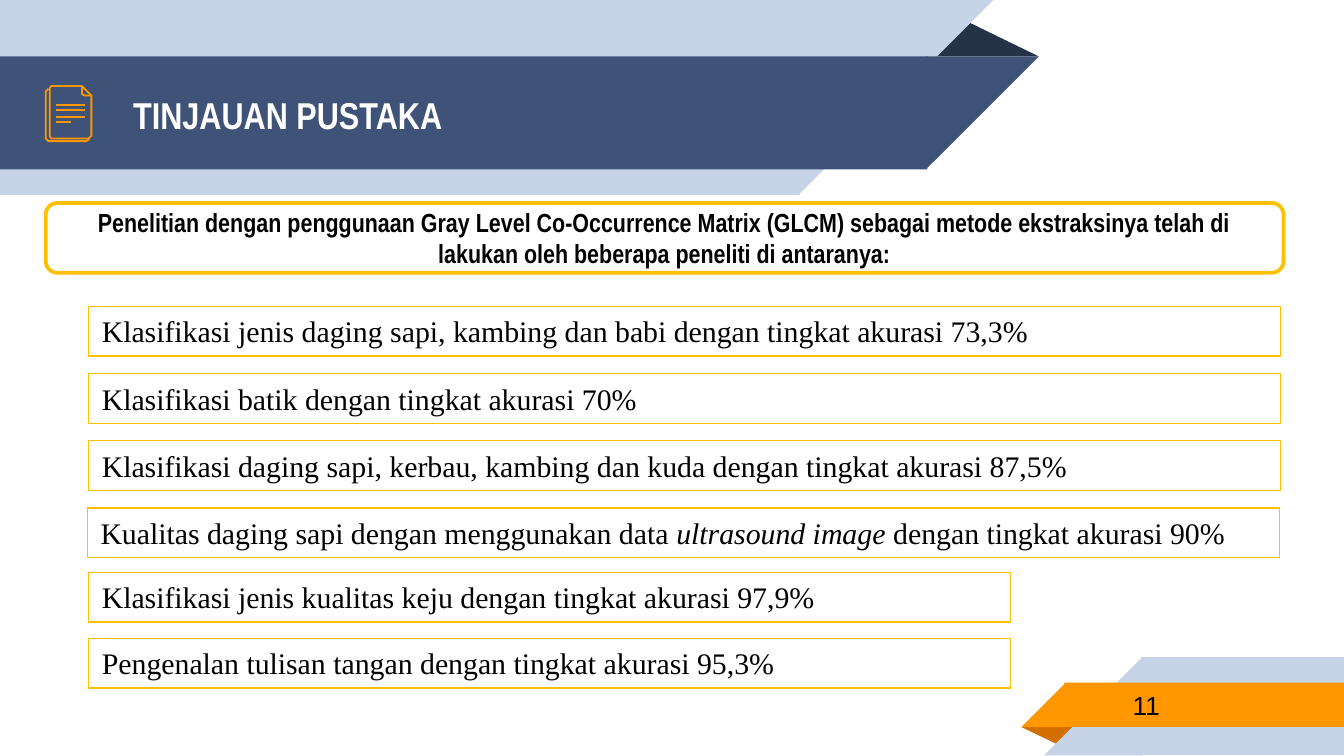
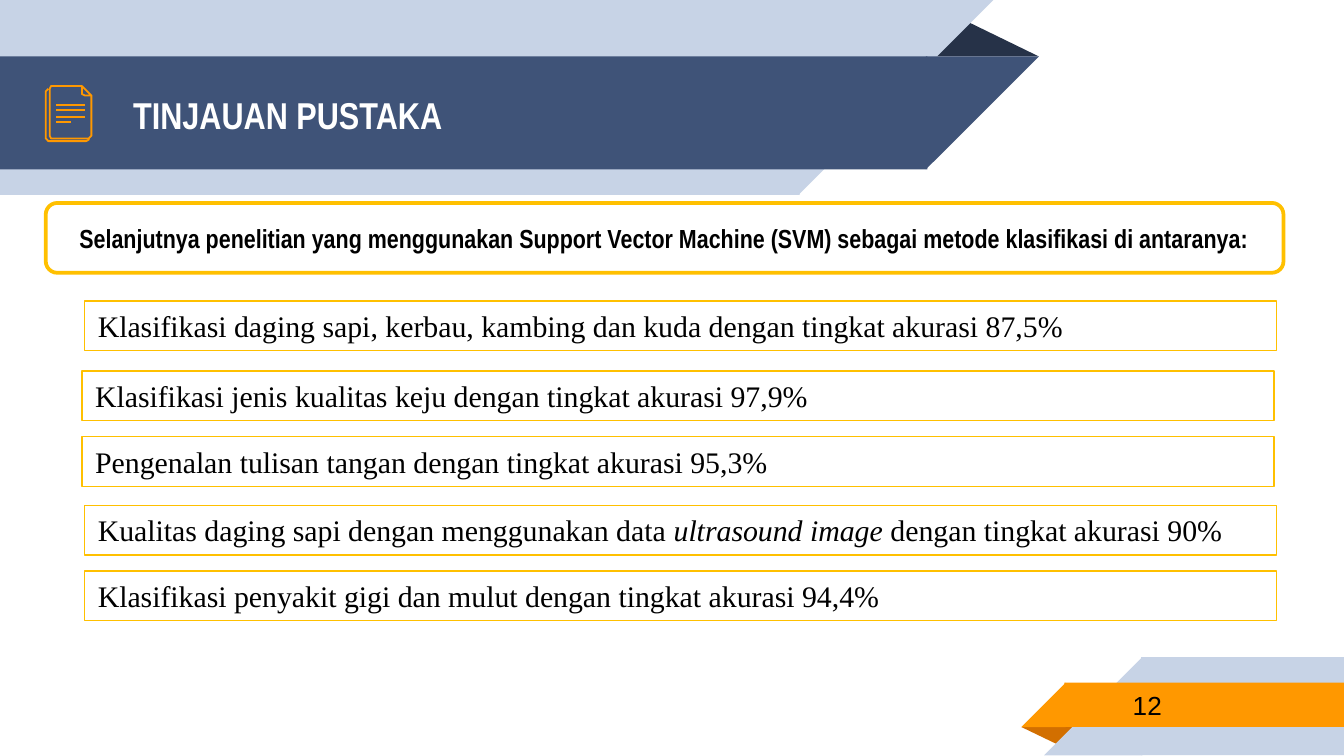
"""Build two literature review slides with a shared ribbon design."""
from lxml import etree
from pptx import Presentation
from pptx.dml.color import RGBColor
from pptx.enum.shapes import MSO_CONNECTOR, MSO_SHAPE
from pptx.enum.text import MSO_ANCHOR, MSO_AUTO_SIZE, PP_ALIGN
from pptx.oxml.ns import qn
from pptx.util import Inches, Pt

RECT = MSO_SHAPE.RECTANGLE
ROUND = MSO_SHAPE.ROUNDED_RECTANGLE
WEDGE = MSO_SHAPE.RIGHT_TRIANGLE
FOLD = MSO_SHAPE.ISOSCELES_TRIANGLE
LINE = MSO_CONNECTOR.STRAIGHT
TOP, MIDDLE = MSO_ANCHOR.TOP, MSO_ANCHOR.MIDDLE
LEFT, CENTER = PP_ALIGN.LEFT, PP_ALIGN.CENTER
FIXED = MSO_AUTO_SIZE.NONE

PALE = RGBColor(0xC7, 0xD3, 0xE6)
NAVY = RGBColor(0x3F, 0x53, 0x78)
DARK = RGBColor(0x26, 0x32, 0x48)
ORANGE = RGBColor(0xFF, 0x98, 0x00)
RUST = RGBColor(0xD2, 0x6F, 0x00)
GOLD = RGBColor(0xFF, 0xC0, 0x00)
BLACK = RGBColor(0, 0, 0)
WHITE = RGBColor(0xFF, 0xFF, 0xFF)

TITLE = "TINJAUAN PUSTAKA"
BEEF = "Klasifikasi daging sapi, kerbau, kambing dan kuda dengan tingkat akurasi 87,5%"
SCAN = ("Kualitas daging sapi dengan menggunakan data *ultrasound image*"
        " dengan tingkat akurasi 90%")
CHEESE = "Klasifikasi jenis kualitas keju dengan tingkat akurasi 97,9%"
HAND = "Pengenalan tulisan tangan dengan tingkat akurasi 95,3%"
WIDE, SHORT = 8.87, 6.86

PAGES = [
    (11, "Penelitian dengan penggunaan Gray Level Co-Occurrence Matrix (GLCM) sebagai "
         "metode ekstraksinya telah di lakukan oleh beberapa peneliti di antaranya:", [
        (0.66, 2.28, WIDE, "Klasifikasi jenis daging sapi, kambing dan babi "
                           "dengan tingkat akurasi 73,3%"),
        (0.66, 2.78, WIDE, "Klasifikasi batik dengan tingkat akurasi 70%"),
        (0.66, 3.28, WIDE, BEEF),
        (0.65, 3.78, WIDE, SCAN),
        (0.66, 4.26, SHORT, CHEESE),
        (0.66, 4.75, SHORT, HAND)]),
    (12, "Selanjutnya penelitian yang menggunakan Support Vector Machine (SVM) sebagai "
         "metode klasifikasi di antaranya:", [
        (0.63, 2.24, WIDE, BEEF),
        (0.61, 2.76, WIDE, CHEESE),
        (0.61, 3.25, WIDE, HAND),
        (0.63, 3.76, WIDE, SCAN),
        (0.63, 4.25, WIDE, "Klasifikasi penyakit gigi dan mulut dengan tingkat akurasi 94,4%")]),
]

BACK = [(0.36, 0.66), (0.34, 0.68), (0.34, 1.03), (0.36, 1.05),
        (0.64, 1.05), (0.66, 1.04), (0.66, 1.03)]
FRONT = [(0.61, 0.64), (0.38, 0.64), (0.37, 0.66), (0.37, 1.01), (0.38, 1.03),
         (0.66, 1.03), (0.68, 1.01), (0.68, 0.71)]
CORNER = [(0.61, 0.64), (0.68, 0.71), (0.63, 0.71), (0.61, 0.7)]


def box(*sides):
    """Turn inch numbers into lengths."""
    return [Inches(side) for side in sides]


def solid(group, kind, at, color, turn=0, flip=False):
    """Add a filled preset shape to a group."""
    shape = group.shapes.add_shape(kind, *box(*at))
    shape.shadow.inherit = False
    shape.fill.solid()
    shape.fill.fore_color.rgb = color
    shape.line.fill.background()
    shape.rotation = turn
    if flip:
        shape.element.spPr.xfrm.set("flipH", "1")
    if kind == FOLD:
        shape.adjustments[0] = 0.324


def band(group, flat, slope, color, turn=0):
    """Add a ribbon made of a flat part and a sloped end."""
    solid(group, RECT, flat, color, turn, True)
    solid(group, WEDGE, slope, color, turn, True)


def ribbons(slide):
    """Place the top and foot ribbons on the layout of a slide."""
    top = slide.shapes.add_group_shape()
    solid(top, FOLD, (6.88, 0.14, 0.85, 0.28), DARK)
    band(top, (0, 0, 5.95, 1.45), (5.94, 0, 1.45, 1.45), PALE, 180)
    band(top, (0, 0.42, 6.9, 0.84), (6.89, 0.42, 0.84, 0.84), NAVY, 180)
    foot = slide.shapes.add_group_shape()
    solid(foot, FOLD, (7.6, 5.41, 0.43, 0.14), RUST, 180)
    band(foot, (8.49, 4.89, 1.51, 0.73), (7.77, 4.89, 0.73, 0.73), PALE)
    band(foot, (7.92, 5.08, 2.08, 0.33), (7.6, 5.08, 0.33, 0.33), ORANGE)
    tree = slide.slide_layout.shapes.element
    for place, group in enumerate((top, foot), 2):
        for node in group.element.iter("{*}cNvPr"):
            node.set("id", str(int(node.get("id")) + 100))
        tree.insert(place, group.element)


def write(shape, text, font, size, color=BLACK, bold=False, align=LEFT, anchor=MIDDLE):
    """Fill a shape with text, with starred words in italics."""
    frame = shape.text_frame
    frame.word_wrap = True
    frame.auto_size = FIXED
    frame.vertical_anchor = anchor
    para = frame.paragraphs[0]
    para.alignment = align
    for count, part in enumerate(text.split("*")):
        run = para.add_run()
        run.text = part
        run.font.name = font
        run.font.size = Pt(size)
        run.font.bold = bold
        run.font.italic = count % 2 == 1
        run.font.color.rgb = color


def pad(shape):
    """Give a text shape even insets."""
    frame = shape.text_frame
    frame.margin_left = frame.margin_right = Inches(0.1)
    frame.margin_top = frame.margin_bottom = Inches(0.1)


def head(slide):
    """Place the slide title."""
    title = slide.shapes.title
    title.left, title.top, title.width, title.height = box(0.89, 0.43, 5.75, 0.84)
    pad(title)
    write(title, TITLE, "Arial Narrow", 20, WHITE, True)


def number(slide, page):
    """Place the page number."""
    label = slide.shapes.add_textbox(*box(8.33, 5.07, 1.63, 0.35))
    pad(label)
    write(label, str(page), "Arial", 14)


def frame(slide, kind, at, weight):
    """Add an empty gold outline."""
    shape = slide.shapes.add_shape(kind, *box(*at))
    shape.shadow.inherit = False
    shape.fill.background()
    shape.line.color.rgb = GOLD
    shape.line.width = Pt(weight)
    return shape


def trace(group, points, close=False):
    """Draw one outline of the paper icon."""
    start, *rest = [box(*point) for point in points]
    path = group.shapes.build_freeform(*start, scale=1.0)
    path.add_line_segments(rest, close=close)
    shape = path.convert_to_shape()
    shape.shadow.inherit = False
    shape.fill.background()
    ink(shape)


def ink(shape):
    """Set the icon line style."""
    shape.line.color.rgb = ORANGE
    shape.line.width = Pt(0.96)


def icon(slide):
    """Draw the paper icon."""
    group = slide.shapes.add_group_shape()
    trace(group, BACK)
    trace(group, FRONT)
    for y, end in ((0.91, 0.53), (0.87, 0.63), (0.82, 0.63), (0.78, 0.63)):
        rule = group.shapes.add_connector(LINE, *box(end, y, 0.42, y))
        etree.SubElement(rule.element.spPr, qn("a:effectLst"))
        ink(rule)
    trace(group, CORNER, True)


def main():
    """Build and save the deck."""
    deck = Presentation()
    deck.slide_width = Inches(10)
    deck.slide_height = Inches(10) * 9 // 16
    layout = deck.slide_layouts[5]
    for page, lead, rows in PAGES:
        slide = deck.slides.add_slide(layout)
        if len(deck.slides) == 1:
            ribbons(slide)
        head(slide)
        number(slide, page)
        icon(slide)
        intro = frame(slide, ROUND, (0.34, 1.51, 9.21, 0.52), 2)
        write(intro, lead, "Arial Narrow", 14, bold=True, align=CENTER)
        for left, top, width, text in rows:
            row = frame(slide, RECT, (left, top, width, 0.37), 0.75)
            write(row, text, "Times New Roman", 16, anchor=TOP)
    deck.save("out.pptx")


if __name__ == "__main__":
    main()
